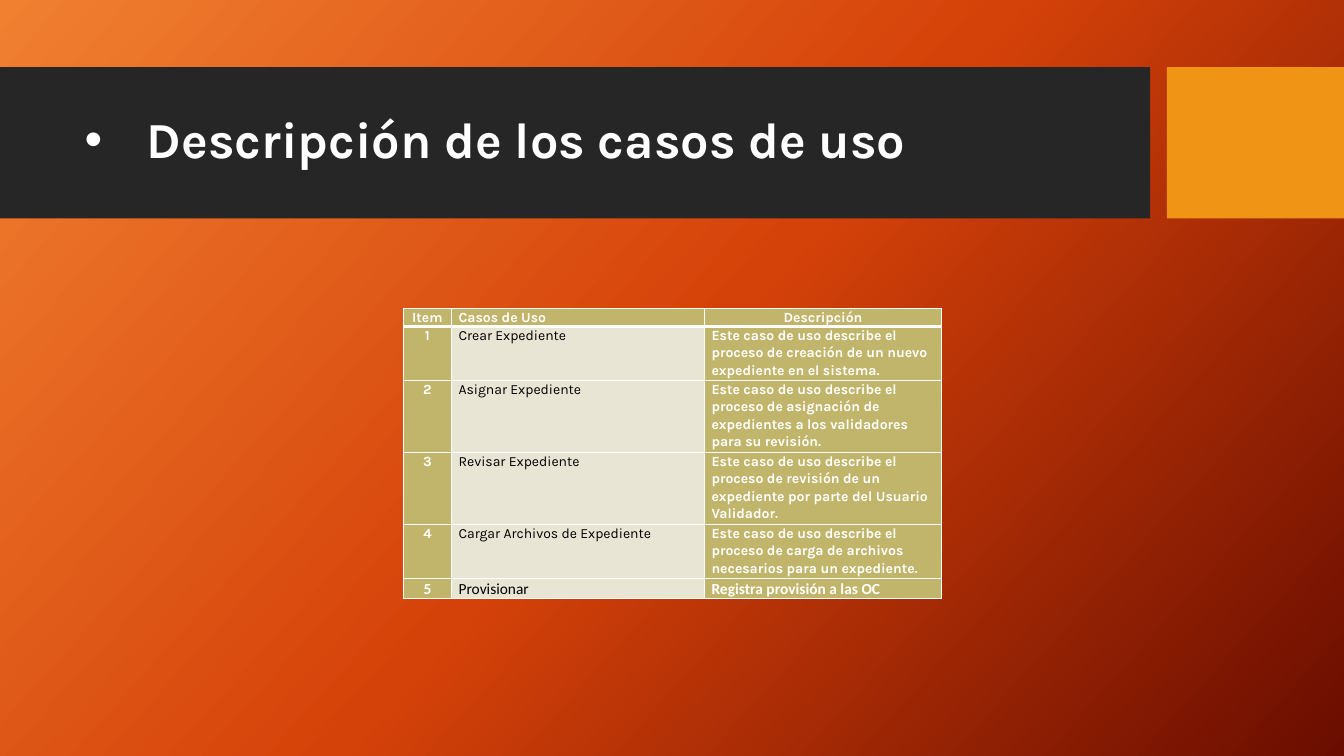
import copy

import pptx
import pptx.dml.color
import pptx.enum.shapes
import pptx.enum.text
import pptx.oxml
import pptx.oxml.ns
import pptx.util

Pt = pptx.util.Pt
ALIGN = pptx.enum.text.PP_ALIGN
ANCHOR = pptx.enum.text.MSO_ANCHOR

TITLE = "Descripción de los casos de uso"
HEADINGS = ("Item", "Casos de Uso", "Descripción")
USE_CASES = [
    ("Crear Expediente", 3,
     "Este caso de uso describe el proceso de creación de un nuevo expediente en el sistema."),
    ("Asignar Expediente", 4,
     "Este caso de uso describe el proceso de asignación de expedientes a los validadores para su revisión."),
    ("Revisar Expediente", 4,
     "Este caso de uso describe el proceso de revisión de un expediente por parte del Usuario Validador."),
    ("Cargar Archivos de Expediente", 3,
     "Este caso de uso describe el proceso de carga de archivos necesarios para un expediente."),
    ("Provisionar", 1, "Registra provisión a las OC"),
]

THEME = {
    "gradient": [(0, "F18031"), (0.5, "D54209"), (1, "6A0D00")],
    "gradient_angle": 318,
    "band": "262626",
    "accent": "F09415",
    "light": "FFFFFF",
    "dark": "000000",
    "key_cell": "C1B56B",
    "name_cell": "E9E5D4",
    "font": "Karla",
    "title_size": 36,
    "body_size": 10,
    "last_font": "Calibri",
    "last_size": 11,
}

SLIDE_W, SLIDE_H = 960, 540
BAND_TOP, BAND_H = 48, 108
BAND_W, ACCENT_LEFT = 821.5, 833.5
TITLE_BOX = (53.3, 59, 756.7, 85)
BULLET_INDENT = 44.6
TABLE_LEFT, TABLE_TOP = 288, 220.3
COLUMN_WIDTHS = (34.6, 180.7, 169.2)
LINE_PITCH, LAST_ROW_H = 12.4, 14.2
CELL_INSET = 5
THIN, THICK = 1, 3


def rgb(code):
    return pptx.dml.color.RGBColor.from_string(code)


def write(frame, text, *, size, font=THEME["font"], color=THEME["light"], bold=True,
          align=ALIGN.LEFT, spacing=1.07, after=8):
    paragraph = frame.paragraphs[0]
    paragraph.alignment = align
    paragraph.line_spacing = spacing
    paragraph.space_after = Pt(after)
    run = paragraph.add_run()
    run.text = text
    run.font.size = Pt(size)
    run.font.name = font
    run.font.bold = bold
    run.font.color.rgb = rgb(color)
    return paragraph


def paint_background(slide):
    fill = slide.background.fill
    fill.gradient()
    fill.gradient_angle = THEME["gradient_angle"]
    stops = next(slide.element.iter(pptx.oxml.ns.qn("a:gsLst")))
    stops.append(copy.deepcopy(stops[0]))
    for stop, (position, color) in zip(fill.gradient_stops, THEME["gradient"]):
        stop.position = position
        stop.color.rgb = rgb(color)


def add_block(slide, left, width, color):
    block = slide.shapes.add_shape(pptx.enum.shapes.MSO_SHAPE.RECTANGLE,
                                   Pt(left), Pt(BAND_TOP), Pt(width), Pt(BAND_H))
    block.shadow.inherit = False
    block.fill.solid()
    block.fill.fore_color.rgb = rgb(color)
    block.line.fill.background()


def add_title(slide):
    frame = slide.shapes.add_textbox(*map(Pt, TITLE_BOX)).text_frame
    frame.word_wrap = True
    frame.vertical_anchor = ANCHOR.MIDDLE
    title = write(frame, TITLE, size=THEME["title_size"], spacing=0.9, after=0)
    properties = title._p.get_or_add_pPr()
    properties.set("marL", str(Pt(BULLET_INDENT)))
    properties.set("indent", str(-Pt(BULLET_INDENT)))
    namespace = pptx.oxml.ns.nsdecls("a")
    properties.append(pptx.oxml.parse_xml(f'<a:buFont {namespace} typeface="Arial"/>'))
    properties.append(pptx.oxml.parse_xml(f'<a:buChar {namespace} char="•"/>'))


def set_borders(cell, top, bottom):
    properties = cell._tc.get_or_add_tcPr()
    edges = {"lnL": THIN, "lnR": THIN, "lnT": top, "lnB": bottom}
    for order, (edge, width) in enumerate(edges.items()):
        properties.insert(order, pptx.oxml.parse_xml(
            f'<a:{edge} {pptx.oxml.ns.nsdecls("a")} w="{Pt(width)}"><a:solidFill>'
            f'<a:srgbClr val="{THEME["light"]}"/></a:solidFill></a:{edge}>'))


def add_use_cases(slide):
    rows = [HEADINGS] + [(str(number), name, description)
                         for number, (name, _, description) in enumerate(USE_CASES, 1)]
    last = len(rows) - 1
    heights = [LINE_PITCH] + [LINE_PITCH * lines for _, lines, _ in USE_CASES]
    heights[last] = LAST_ROW_H
    table = slide.shapes.add_table(len(rows), len(HEADINGS), Pt(TABLE_LEFT), Pt(TABLE_TOP),
                                   Pt(sum(COLUMN_WIDTHS)), Pt(sum(heights))).table
    table.first_row = table.horz_banding = False
    for column, width in zip(table.columns, COLUMN_WIDTHS):
        column.width = Pt(width)
    for r, texts in enumerate(rows):
        table.rows[r].height = Pt(heights[r])
        for c, text in enumerate(texts):
            cell = table.cell(r, c)
            is_name = r > 0 and c == 1
            centred = c == 0 or (r == 0 and c == 2)
            cell.margin_left = cell.margin_right = Pt(CELL_INSET)
            cell.margin_top = cell.margin_bottom = 0
            cell.vertical_anchor = ANCHOR.MIDDLE if r == 0 and c == 2 else ANCHOR.TOP
            cell.fill.solid()
            cell.fill.fore_color.rgb = rgb(THEME["name_cell" if is_name else "key_cell"])
            set_borders(cell, THICK if r == 1 else THIN, THICK if r == 0 else THIN)
            write(cell.text_frame, text,
                  size=THEME["last_size" if r == last else "body_size"],
                  font=THEME["last_font" if r == last else "font"],
                  color=THEME["dark" if is_name else "light"], bold=not is_name,
                  align=ALIGN.CENTER if centred else ALIGN.LEFT)


def main():
    deck = pptx.Presentation()
    deck.slide_width, deck.slide_height = Pt(SLIDE_W), Pt(SLIDE_H)
    slide = deck.slides.add_slide(deck.slide_layouts[6])
    paint_background(slide)
    add_block(slide, 0, BAND_W, THEME["band"])
    add_block(slide, ACCENT_LEFT, SLIDE_W - ACCENT_LEFT, THEME["accent"])
    add_title(slide)
    add_use_cases(slide)
    deck.save("out.pptx")


if __name__ == "__main__":
    main()
